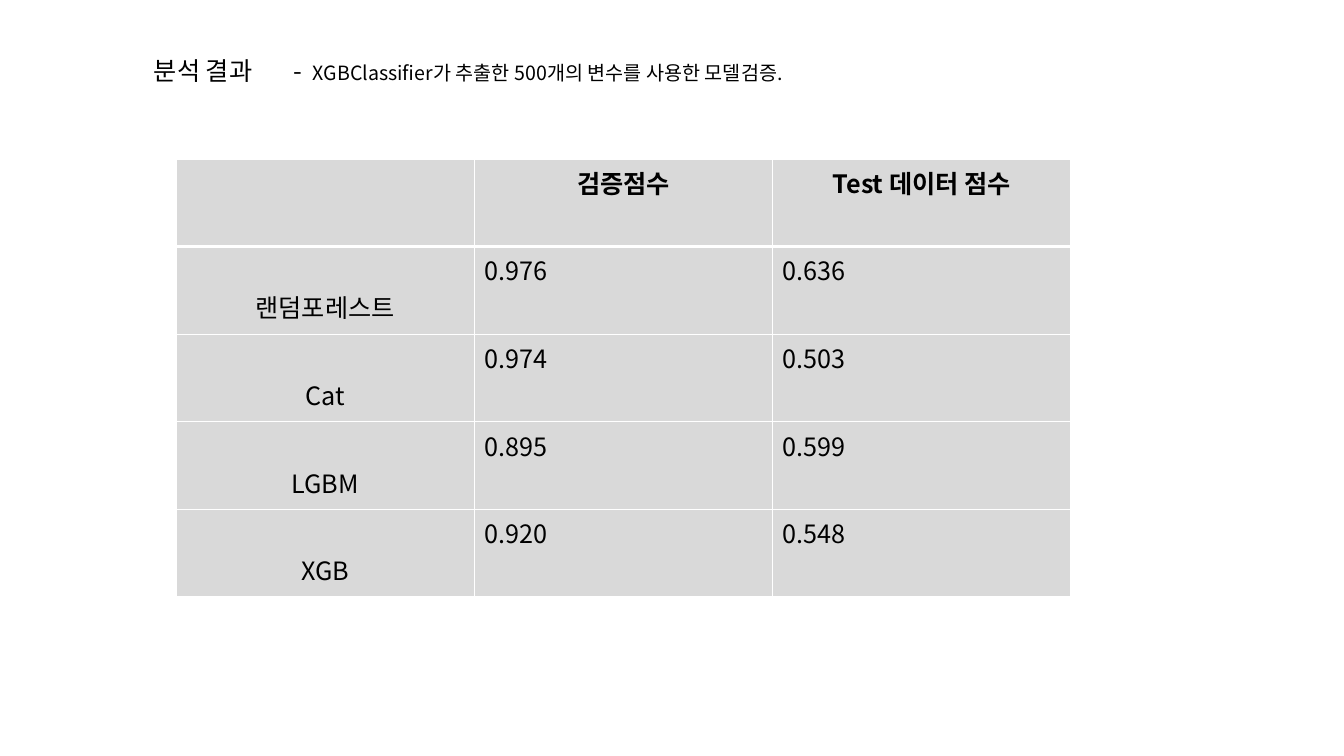
from lxml import etree
from pptx import Presentation
from pptx.dml.color import RGBColor
from pptx.enum.text import MSO_ANCHOR, PP_ALIGN
from pptx.oxml.ns import qn
from pptx.util import Pt

PX = 914400 / 100.8
FONT = "Noto Sans CJK KR"
BLACK, GREY, WHITE = "000000", "D9D9D9", "FFFFFF"

HEADER = ["", "검증점수", "Test 데이터 점수"]
SCORES = [
    ["랜덤포레스트", "0.976", "0.636"],
    ["Cat", "0.974", "0.503"],
    ["LGBM", "0.895", "0.599"],
    ["XGB", "0.920", "0.548"],
]


def px(length):
    """Turn pixels into EMU."""
    return round(length * PX)


def color(hex_string):
    """Turn a hex string into a colour."""
    return RGBColor.from_string(hex_string)


def add_run(paragraph, text, size=18, bold=False):
    """Add a run in the slide's font, for Latin and Korean alike."""
    run = paragraph.add_run()
    run.text = text
    font = run.font
    font.name, font.size, font.bold = FONT, Pt(size), bold
    font.color.rgb = color(BLACK)
    east_asian = etree.SubElement(font._element, qn("a:ea"))
    east_asian.set("typeface", FONT)


def add_heading(slide, box, runs):
    """Add a one-line text box from (text, size) runs."""
    frame = slide.shapes.add_textbox(*map(px, box)).text_frame
    frame.word_wrap = True
    for text, size in runs:
        add_run(frame.paragraphs[0], text, size)


def set_borders(cell, top, bottom):
    """Give a cell white borders, thin at both sides."""
    properties = cell._tc.get_or_add_tcPr()
    sides = {"lnL": 1, "lnR": 1, "lnT": top, "lnB": bottom}
    for index, (side, width) in enumerate(sides.items()):
        line = etree.Element(qn(f"a:{side}"), w=str(Pt(width)))
        fill = etree.SubElement(line, qn("a:solidFill"))
        etree.SubElement(fill, qn("a:srgbClr"), val=WHITE)
        properties.insert(index, line)


def add_score_table(slide, box):
    """Fill the box with an even grid of model scores."""
    left, top, width, height = box
    rows = [HEADER] + SCORES
    table = slide.shapes.add_table(len(rows), len(HEADER), *map(px, box)).table
    for column in table.columns:
        column.width = px(width / len(HEADER))
    for r, texts in enumerate(rows):
        table.rows[r].height = px(height / len(rows))
        for c, text in enumerate(texts):
            cell = table.cell(r, c)
            cell.fill.solid()
            cell.fill.fore_color.rgb = color(GREY)
            set_borders(cell, 3 if r == 1 else 1, 3 if r == 0 else 1)
            if not text:
                continue
            paragraph = cell.text_frame.paragraphs[0]
            add_run(paragraph, text, bold=r == 0)
            if r == 0 or c == 0:
                paragraph.alignment = PP_ALIGN.CENTER
            if r > 0 and c == 0:
                cell.vertical_anchor = MSO_ANCHOR.BOTTOM
                cell.margin_bottom = px(9)


def build_results_slide(presentation):
    """Build the analysis results slide."""
    slide = presentation.slides.add_slide(presentation.slide_layouts[6])
    add_heading(slide, (144, 50, 527, 40), [("분석 결과", 18)])
    add_heading(slide, (284, 50, 583, 40), [
        ("- ", 18),
        (" XGBClassifier가 추출한 500개의 변수를 사용한 모델검증.", 14),
    ])
    add_score_table(slide, (176, 159, 895, 438))


deck = Presentation()
deck.slide_width, deck.slide_height = px(1344), px(756)
build_results_slide(deck)
deck.save("out.pptx")
